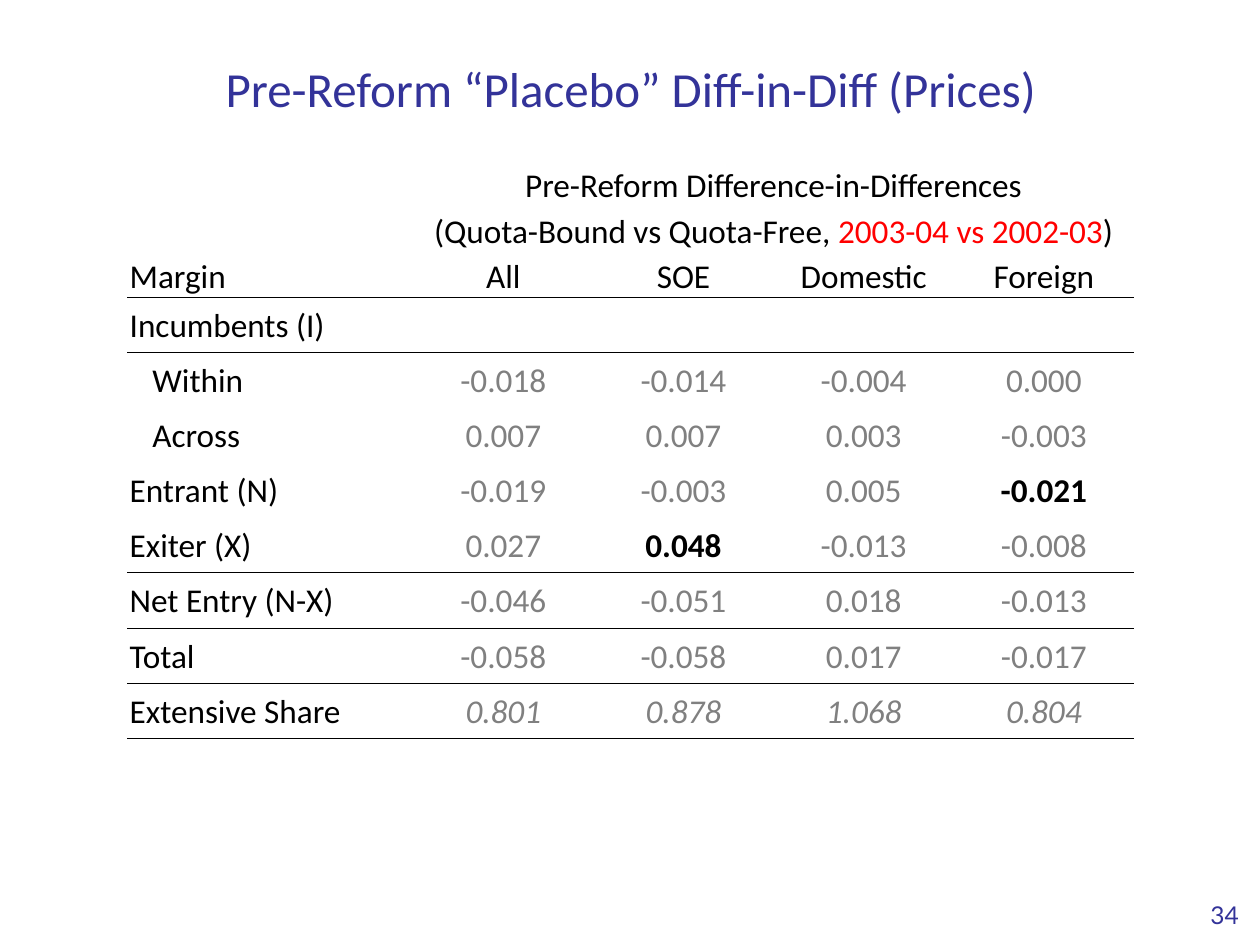
from dataclasses import dataclass

from lxml.etree import SubElement
from pptx import Presentation
from pptx.dml.color import RGBColor
from pptx.enum.text import MSO_ANCHOR, PP_ALIGN
from pptx.oxml.ns import qn
from pptx.util import Inches, Pt


@dataclass(frozen=True)
class Theme:
    """Colours, fonts and type sizes of the slide."""
    blue: str = "333399"
    ink: str = "000000"
    gray: str = "808080"
    red: str = "FF0000"
    font: str = "Calibri"
    page_font: str = "Lato"
    title: int = 28
    body: int = 19
    page: int = 14
    rule: float = 0.5


THEME = Theme()
PLAIN = "{2D5ABB26-0587-4C30-8999-92F81FD0307C}"
SPANS = [
    [("Pre-Reform Difference-in-Differences", THEME.ink)],
    [("(Quota-Bound vs Quota-Free, ", THEME.ink),
     ("2003-04 vs 2002-03", THEME.red), (")", THEME.ink)],
]
HEADS = ["Margin", "All", "SOE", "Domestic", "Foreign"]
ROWS = [
    ["Incumbents (I)"],
    ["Within", "-0.018", "-0.014", "-0.004", "0.000"],
    ["Across", "0.007", "0.007", "0.003", "-0.003"],
    ["Entrant (N)", "-0.019", "-0.003", "0.005", "-0.021"],
    ["Exiter (X)", "0.027", "0.048", "-0.013", "-0.008"],
    ["Net Entry (N-X)", "-0.046", "-0.051", "0.018", "-0.013"],
    ["Total", "-0.058", "-0.058", "0.017", "-0.017"],
    ["Extensive Share", "0.801", "0.878", "1.068", "0.804"],
]
INDENT = {"Within", "Across"}
STRONG = {("Entrant (N)", "Foreign"), ("Exiter (X)", "SOE")}
ITALIC = "Extensive Share"
RULED = {"Margin", "Exiter (X)", "Net Entry (N-X)", "Total", "Extensive Share"}


def add_run(para, text, color, size, font=THEME.font, bold=False, italic=False):
    """Add one formatted run to a paragraph."""
    run = para.add_run()
    run.text = text
    face = run.font
    face.name, face.size = font, Pt(size)
    face.bold, face.italic = bold, italic
    face.color.rgb = RGBColor.from_string(color)


def place(shape, box):
    """Move a shape to a box given in inches."""
    shape.left, shape.top, shape.width, shape.height = map(Inches, box)


def add_title(slide, box):
    """Fill and place the title."""
    title = slide.shapes.title
    place(title, box)
    frame = title.text_frame
    frame.vertical_anchor = MSO_ANCHOR.MIDDLE
    para = frame.paragraphs[0]
    para.alignment = PP_ALIGN.CENTER
    add_run(para, "Pre-Reform “Placebo” Diff-in-Diff (Prices)", THEME.blue, THEME.title)


def add_page(slide, box):
    """Write the page number at the lower right of its box."""
    frame = slide.shapes.add_textbox(*map(Inches, box)).text_frame
    frame.word_wrap = True
    frame.vertical_anchor = MSO_ANCHOR.BOTTOM
    frame.margin_bottom = 0
    para = frame.paragraphs[0]
    para.alignment = PP_ALIGN.RIGHT
    add_run(para, "34", THEME.blue, THEME.page, THEME.page_font)


def add_rule(cell, side):
    """Draw a thin rule on one side of a cell."""
    line = SubElement(cell._tc.get_or_add_tcPr(), qn(f"a:{side}"), w=str(Pt(THEME.rule)))
    fill = SubElement(line, qn("a:solidFill"))
    SubElement(fill, qn("a:srgbClr"), val=THEME.ink)


def set_cell(cell, anchor, above=False, below=False):
    """Set margins, anchor, rules and base size of a cell."""
    cell.margin_left = cell.margin_right = cell.margin_top = Inches(0.02)
    cell.margin_bottom = 0
    cell.vertical_anchor = anchor
    for side, drawn in (("lnT", above), ("lnB", below)):
        if drawn:
            add_rule(cell, side)
    cell.fill.background()
    cell.text_frame.paragraphs[0].font.size = Pt(THEME.body)


def fill_spans(grid):
    """Write the heading lines that span the value columns."""
    for row, parts in enumerate(SPANS):
        for col in range(len(HEADS)):
            set_cell(grid.cell(row, col), MSO_ANCHOR.BOTTOM)
        cell = grid.cell(row, 1)
        cell.merge(grid.cell(row, len(HEADS) - 1))
        para = cell.text_frame.paragraphs[0]
        para.alignment = PP_ALIGN.CENTER
        for text, color in parts:
            add_run(para, text, color, THEME.body)


def fill_rows(grid):
    """Write the column heads and the rows of values."""
    above = False
    for row, texts in enumerate([HEADS] + ROWS, len(SPANS)):
        name, head = texts[0], texts is HEADS
        below = name in RULED
        for col, group in enumerate(HEADS):
            cell = grid.cell(row, col)
            set_cell(cell, MSO_ANCHOR.BOTTOM if head else MSO_ANCHOR.MIDDLE, above, below)
            if col >= len(texts):
                continue
            para = cell.text_frame.paragraphs[0]
            para.alignment = PP_ALIGN.CENTER if col else PP_ALIGN.LEFT
            if col == 0 and name in INDENT:
                cell.margin_left = Inches(0.2)
            bold = (name, group) in STRONG
            color = THEME.ink if head or bold or col == 0 else THEME.gray
            add_run(para, texts[col], color, THEME.body, bold=bold,
                    italic=col > 0 and name == ITALIC)
        above = below


def add_grid(slide, box):
    """Build the table of estimates in its box."""
    heads = len(SPANS) + 1
    count = heads + len(ROWS)
    frame = slide.shapes.add_table(count, len(HEADS), *map(Inches, box))
    grid = frame.table
    grid.first_row = grid.horz_banding = False
    grid._tbl.tblPr.find(qn("a:tableStyleId")).text = PLAIN
    first, short = 2.27, 0.36
    wide = (box[2] - first) / (len(HEADS) - 1)
    tall = (box[3] - heads * short) / len(ROWS)
    for col, column in enumerate(grid.columns):
        column.width = Inches(wide if col else first)
    for row, line in enumerate(grid.rows):
        line.height = Inches(short if row < heads else tall)
    fill_spans(grid)
    fill_rows(grid)


def main():
    """Build and save the slide."""
    deck = Presentation()
    deck.slide_width, deck.slide_height = Inches(10), Inches(7.5)
    slide = deck.slides.add_slide(deck.slide_layouts[5])
    add_page(slide, (9.39, 6.86, 0.54, 0.52))
    add_title(slide, (0.39, 0.3, 9.23, 0.79))
    add_grid(slide, (1.01, 1.28, 7.99, 4.58))
    deck.save("out.pptx")


if __name__ == "__main__":
    main()
